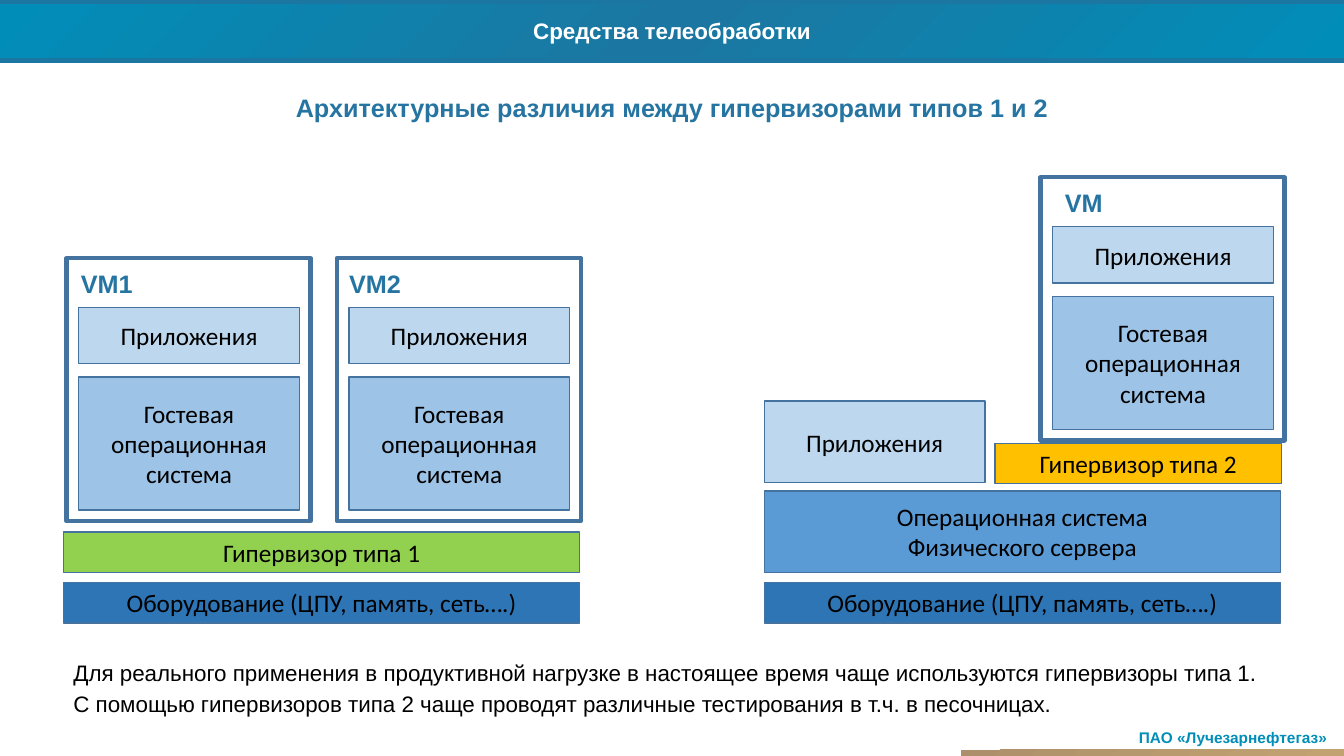
from dataclasses import dataclass

from lxml.etree import SubElement
from pptx import Presentation
from pptx.dml.color import RGBColor
from pptx.enum.shapes import MSO_CONNECTOR, MSO_SHAPE
from pptx.enum.text import MSO_ANCHOR, PP_ALIGN
from pptx.oxml.ns import qn
from pptx.util import Inches, Pt


@dataclass(frozen=True)
class Theme:
    heading_font: str = "Arial"
    block_font: str = "Calibri"
    white: str = "FFFFFF"
    black: str = "000000"
    title: str = "2574A1"
    brand: str = "008EB9"
    brand_dark: str = "1B77A1"
    sand: str = "AD906B"
    sand_light: str = "C2A271"
    outline: str = "43739E"
    hardware: str = "2E75B6"
    host_os: str = "5B9BD5"
    guest_os: str = "9DC3E6"
    apps: str = "BDD7EE"
    type1: str = "92D050"
    type2: str = "FFC000"
    large: int = 18
    medium: int = 16
    small: int = 11


THEME = Theme()
SLIDE_W, SLIDE_H = 13.33, 7.5
STACK_W, LAYER_H = 5.12, 0.4
BLOCK_W = 2.19
HARDWARE_Y = 5.78


def rgb(value):
    return RGBColor.from_string(value)


def add_text(tf, lines, size, font, color, bold=False, align=PP_ALIGN.CENTER):
    for i, line in enumerate(lines):
        p = tf.paragraphs[0] if i == 0 else tf.add_paragraph()
        p.alignment = align
        r = p.add_run()
        r.text = line
        r.font.size = Pt(size)
        r.font.name = font
        r.font.bold = bold
        r.font.color.rgb = rgb(color)


def add_box(slide, x, y, w, h, preset=MSO_SHAPE.RECTANGLE):
    sp = slide.shapes.add_shape(preset, Inches(x), Inches(y), Inches(w), Inches(h))
    sp.shadow.inherit = False
    return sp


def add_gradient_box(slide, x, y, w, h, colors, preset=MSO_SHAPE.RECTANGLE):
    """Add a borderless box with evenly spaced gradient stops at 45 degrees."""
    sp = add_box(slide, x, y, w, h, preset)
    sp.line.fill.background()
    sp.fill.gradient()
    sp.fill.gradient_angle = 315
    stops = sp._element.spPr.find(qn("a:gradFill")).find(qn("a:gsLst"))
    for stop in list(stops):
        stops.remove(stop)
    for i, color in enumerate(colors):
        position = 100000 * i // (len(colors) - 1)
        gs = SubElement(stops, qn("a:gs"), pos=str(position))
        SubElement(gs, qn("a:srgbClr"), val=color)
    return sp


def add_block(slide, x, y, w, h, color, *lines):
    sp = add_box(slide, x, y, w, h)
    sp.fill.solid()
    sp.fill.fore_color.rgb = rgb(color)
    sp.line.color.rgb = rgb(THEME.outline)
    sp.line.width = Pt(1)
    tf = sp.text_frame
    tf.word_wrap = True
    tf.vertical_anchor = MSO_ANCHOR.MIDDLE
    add_text(tf, lines, THEME.large, THEME.block_font, THEME.black)


def add_label(slide, x, y, w, h, text, size, color):
    tf = slide.shapes.add_textbox(Inches(x), Inches(y), Inches(w), Inches(h)).text_frame
    tf.word_wrap = True
    add_text(tf, [text], size, THEME.heading_font, color, bold=True)


def add_rule(slide, y):
    line = slide.shapes.add_connector(
        MSO_CONNECTOR.STRAIGHT, 0, Inches(y), Inches(SLIDE_W), Inches(y))
    line.line.color.rgb = rgb(THEME.brand_dark)
    line.line.width = Pt(3)
    SubElement(line._element.spPr, qn("a:effectLst"))


def add_vm(slide, x, y, name, label_dx=0.02):
    """Add a virtual machine: a frame, its name, applications and guest system."""
    add_block(slide, x + 0.12, y + 1.18, BLOCK_W, 1.32, THEME.guest_os,
              "Гостевая операционная система")
    add_block(slide, x + 0.12, y + 0.49, BLOCK_W, 0.56, THEME.apps, "Приложения")
    frame = add_box(slide, x, y, 2.42, 2.61)
    frame.fill.background()
    frame.line.color.rgb = rgb(THEME.outline)
    frame.line.width = Pt(3)
    add_label(slide, x + label_dx, y + 0.05, 0.76, 0.4, name, THEME.large, THEME.title)


def add_header(slide):
    banner = add_gradient_box(
        slide, 0, 0.02, SLIDE_W, 0.56,
        [THEME.brand, THEME.brand_dark, THEME.brand], MSO_SHAPE.ROUNDED_RECTANGLE)
    banner.adjustments[0] = 0
    tf = banner.text_frame
    tf.word_wrap = False
    tf.vertical_anchor = MSO_ANCHOR.MIDDLE
    add_text(tf, ["Средства телеобработки"], THEME.medium, THEME.heading_font,
             THEME.white, bold=True)
    for y in (0.6, 0.02):
        add_rule(slide, y)
    add_label(slide, 0, 0.87, SLIDE_W, 0.4,
              "Архитектурные различия между гипервизорами типов 1 и 2",
              THEME.large, THEME.title)


def add_footer(slide):
    add_label(slide, 11.13, 7.17, 2.2, 0.29, "ПАО «Лучезарнефтегаз»",
              THEME.small, THEME.brand)
    add_gradient_box(slide, 9.53, 7.44, 3.8, 0.06, [THEME.sand, THEME.sand_light])


def add_hardware(slide, x):
    add_block(slide, x, HARDWARE_Y, STACK_W, LAYER_H, THEME.hardware,
              "Оборудование (ЦПУ, память, сеть….)")


def add_type1_stack(slide, x):
    add_hardware(slide, x)
    add_block(slide, x, 5.28, STACK_W, LAYER_H, THEME.type1, "Гипервизор типа 1")
    add_vm(slide, x + 0.03, 2.56, "VM1")
    add_vm(slide, x + 2.71, 2.56, "VM2", label_dx=0)


def add_type2_stack(slide, x):
    add_hardware(slide, x)
    add_block(slide, x, 4.87, STACK_W, 0.81, THEME.host_os,
              "Операционная система", "Физического сервера")
    add_block(slide, x + 2.29, 4.4, 2.84, LAYER_H, THEME.type2, "Гипервизор типа 2")
    add_block(slide, x, 3.98, BLOCK_W, 0.81, THEME.apps, "Приложения")
    add_vm(slide, x + 2.74, 1.76, "VM", label_dx=0.05)


def add_conclusion(slide):
    box = slide.shapes.add_textbox(Inches(0.14), Inches(6.47), Inches(13.04), Inches(0.67))
    tf = box.text_frame
    tf.word_wrap = True
    tf.vertical_anchor = MSO_ANCHOR.MIDDLE
    add_text(tf, [
        "Для реального применения в продуктивной нагрузке в настоящее время "
        "чаще используются гипервизоры типа 1.",
        "С помощью гипервизоров типа 2 чаще проводят различные тестирования "
        "в т.ч. в песочницах.",
    ], THEME.medium, THEME.heading_font, THEME.black, align=PP_ALIGN.JUSTIFY)
    for p in tf.paragraphs:
        p.line_spacing = 1.15
        pPr = p._p.get_or_add_pPr()
        pPr.set("marL", "0")
        pPr.set("indent", str(Inches(0.49)))


def main():
    prs = Presentation()
    prs.slide_width = Inches(SLIDE_W)
    prs.slide_height = Inches(SLIDE_H)
    slide = prs.slides.add_slide(prs.slide_layouts[6])
    add_header(slide)
    add_footer(slide)
    add_type1_stack(slide, 0.63)
    add_type2_stack(slide, 7.58)
    add_conclusion(slide)
    prs.save("out.pptx")


if __name__ == "__main__":
    main()
